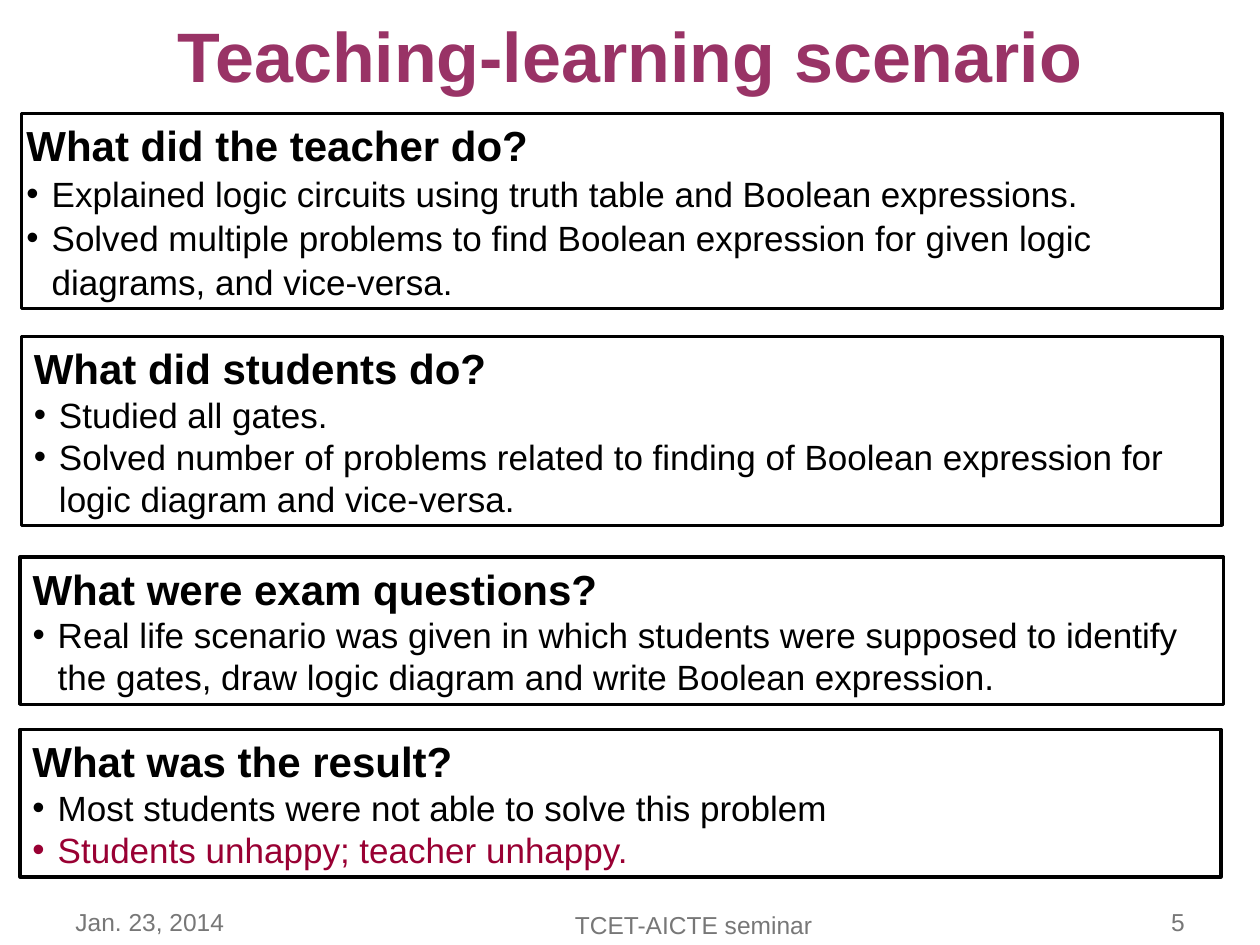
import pptx
import pptx.dml.color
import pptx.enum.shapes
import pptx.enum.text
import pptx.oxml.ns
import pptx.util
from lxml import etree

Inches = pptx.util.Inches
ALIGN = pptx.enum.text.PP_ALIGN
ANCHOR = pptx.enum.text.MSO_ANCHOR

BLACK, PLUM, CRIMSON, GREY = "000000", "993366", "990033", "777777"


def color(hex_string):
    return pptx.dml.color.RGBColor.from_string(hex_string)


class SlideBuilder:
    """Holds the style and the current slide."""

    font_name = "Arial"
    indent = Inches(0.2)

    def __init__(self, presentation):
        title_only = presentation.slide_layouts[5]
        self.slide = presentation.slides.add_slide(title_only)

    def style(self, paragraph, text, size, hex_string, bold=False, align=ALIGN.LEFT):
        paragraph.text = text
        paragraph.alignment = align
        font = paragraph.font
        font.name, font.size, font.bold = self.font_name, pptx.util.Pt(size), bold
        font.color.rgb = color(hex_string)

    def add_bullet(self, paragraph, hex_string):
        properties = paragraph._p.get_or_add_pPr()
        properties.set("marL", str(self.indent))
        properties.set("indent", str(-self.indent))
        qn = pptx.oxml.ns.qn
        bullet_color = etree.SubElement(properties, qn("a:buClr"))
        etree.SubElement(bullet_color, qn("a:srgbClr"), val=hex_string)
        etree.SubElement(properties, qn("a:buFont"), typeface=self.font_name)
        etree.SubElement(properties, qn("a:buChar"), char="•")

    def title(self, text, left, top, width, height):
        shape = self.slide.shapes.title
        shape.left, shape.top = Inches(left), Inches(top)
        shape.width, shape.height = Inches(width), Inches(height)
        frame = shape.text_frame
        frame.vertical_anchor = ANCHOR.MIDDLE
        frame.auto_size = pptx.enum.text.MSO_AUTO_SIZE.NONE
        self.style(frame.paragraphs[0], text, 40, PLUM, True, ALIGN.CENTER)

    def panel(self, heading, bullets, left, top, width, height,
              margins=(0.1, 0.1), line_spacing=1.0):
        """Outlined box with a bold heading and (text, colour) bullets."""
        shape = self.slide.shapes.add_shape(
            pptx.enum.shapes.MSO_SHAPE.RECTANGLE,
            Inches(left), Inches(top), Inches(width), Inches(height))
        shape.shadow.inherit = False
        shape.fill.background()
        shape.line.color.rgb = color(BLACK)
        shape.line.width = pptx.util.Pt(2)

        frame = shape.text_frame
        frame.word_wrap = True
        frame.vertical_anchor = ANCHOR.TOP
        frame.auto_size = pptx.enum.text.MSO_AUTO_SIZE.SHAPE_TO_FIT_TEXT
        frame.margin_left, frame.margin_right = map(Inches, margins)
        self.style(frame.paragraphs[0], heading, 24, BLACK, True)
        for text, hex_string in bullets:
            paragraph = frame.add_paragraph()
            self.add_bullet(paragraph, hex_string)
            paragraph.line_spacing = line_spacing
            self.style(paragraph, text, 20, hex_string)

    def footer(self, text, left, top, width, align):
        box = self.slide.shapes.add_textbox(
            Inches(left), Inches(top), Inches(width), Inches(0.44))
        box.text_frame.word_wrap = True
        self.style(box.text_frame.paragraphs[0], text, 14, GREY, align=align)


def main():
    presentation = pptx.Presentation()
    presentation.slide_width, presentation.slide_height = Inches(10), Inches(7.5)
    builder = SlideBuilder(presentation)

    builder.title("Teaching-learning scenario", 0.5, 0.08, 9, 0.7)

    # Four question panels
    builder.panel("What did the teacher do?", [
        ("Explained logic circuits using truth table and Boolean expressions.", BLACK),
        ("Solved multiple problems to find Boolean expression for given logic "
         "diagrams, and vice-versa.", BLACK),
    ], 0.17, 0.9, 9.53, 1.55, margins=(0.04, 0.02), line_spacing=1.05)
    builder.panel("What did students do?", [
        ("Studied all gates.", BLACK),
        ("Solved number of problems related to finding of Boolean expression for "
         "logic diagram and vice-versa.", BLACK),
    ], 0.17, 2.67, 9.53, 1.5)
    builder.panel("What were exam questions?", [
        ("Real life scenario was given in which students were supposed to identify "
         "the gates, draw logic diagram and write Boolean expression.", BLACK),
    ], 0.16, 4.42, 9.55, 1.17)
    builder.panel("What was the result?", [
        ("Most students were not able to solve this problem", BLACK),
        ("Students unhappy; teacher unhappy.", CRIMSON),
    ], 0.16, 5.79, 9.53, 1.17)

    # Footer line
    builder.footer("TCET-AICTE seminar", 3.92, 7.17, 3.17, ALIGN.CENTER)
    builder.footer("5", 8.08, 7.15, 1.42, ALIGN.RIGHT)
    builder.footer("Jan. 23, 2014", 0.5, 7.15, 2.33, ALIGN.LEFT)

    presentation.save("out.pptx")


if __name__ == "__main__":
    main()
